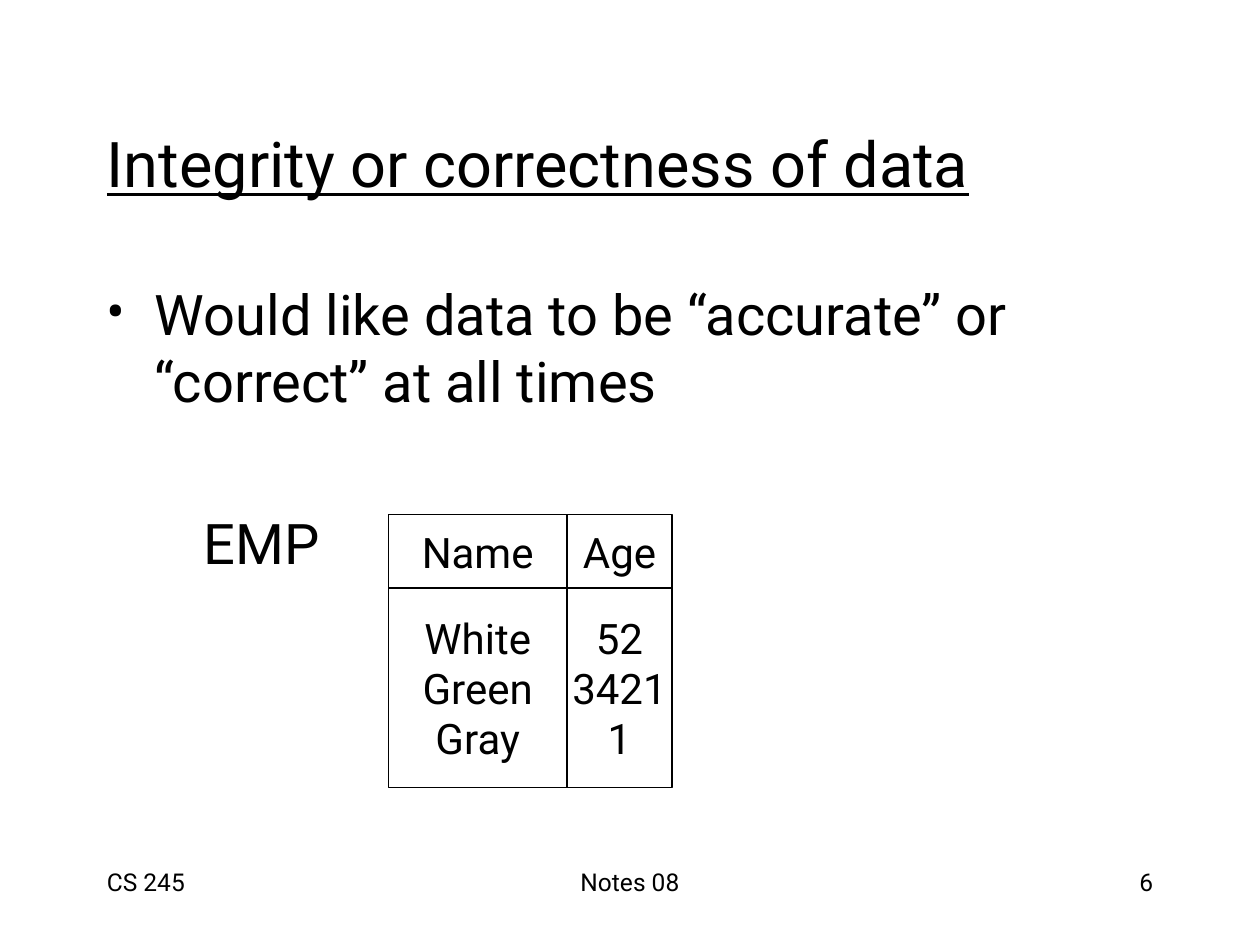
from lxml import etree
from pptx import Presentation
from pptx.dml.color import RGBColor
from pptx.enum.shapes import MSO_SHAPE
from pptx.enum.text import MSO_ANCHOR, PP_ALIGN
from pptx.oxml.ns import qn
from pptx.util import Inches, Pt

LEFT, CENTER, RIGHT = PP_ALIGN.LEFT, PP_ALIGN.CENTER, PP_ALIGN.RIGHT
TOP, MIDDLE = MSO_ANCHOR.TOP, MSO_ANCHOR.MIDDLE
RECTANGLE = MSO_SHAPE.RECTANGLE

# Content
TITLE = "Integrity or correctness of data"
BULLET = "Would like data to be “accurate” or “correct” at all times"
RELATION = "EMP"
FIELDS = [("Name", ["White", "Green", "Gray"]),
          ("Age", ["52", "3421", "1"])]

# Layout on a grid of 120 columns by 90 rows, as column, row, width, height
COLUMNS, ROWS = 120, 90
TITLE_AREA = (9, 8, 102, 15)
BODY_AREA = (9, 26, 102, 54)
RELATION_AT = (37, 49)
FIELD_WIDTHS = (17, 10)
HEAD_HEIGHT, VALUES_HEIGHT = 7, 19
FOOTERS = [("CS 245", (9, 82, 25, 6), LEFT),
           ("Notes 08", (41, 82, 38, 6), CENTER),
           ("6", (86, 82, 25, 6), RIGHT)]

THEME = {
    "font": "Roboto",
    "ink": RGBColor(0, 0, 0),
    "paper": RGBColor(255, 255, 255),
    "title": 36, "body": 32, "field": 24, "footer": 14,
    "border": 0.75, "hang": 0.38, "label_indent": 0.77, "label_gap": 54,
}

prs = Presentation()
prs.slide_width, prs.slide_height = Inches(10), Inches(7.5)
s = prs.slides.add_slide(prs.slide_layouts[6])


def place(area):
    x, y, w, h = area
    across, down = prs.slide_width / COLUMNS, prs.slide_height / ROWS
    return round(x * across), round(y * down), round(w * across), round(h * down)


def write(p, text, size, align=LEFT, underline=None, before=0,
          margin=0, bullet=False):
    """Fill one paragraph and format it."""
    pPr = p._p.get_or_add_pPr()
    p.alignment = align
    p.space_before = Pt(before)
    pPr.set("marL", str(Inches(margin)))
    pPr.set("indent", str(-Inches(margin) if bullet else 0))
    if bullet:
        etree.SubElement(pPr, qn("a:buFont")).set("typeface", THEME["font"])
        etree.SubElement(pPr, qn("a:buChar")).set("char", "•")
    r = p.add_run()
    r.text = text
    r.font.name, r.font.size = THEME["font"], Pt(size)
    r.font.color.rgb = THEME["ink"]
    r.font.underline = underline


def text_box(area, anchor=TOP):
    tf = s.shapes.add_textbox(*place(area)).text_frame
    tf.word_wrap, tf.vertical_anchor = True, anchor
    return tf


def field_box(area, lines):
    """Draw one outlined box with a centred paragraph per line."""
    sp = s.shapes.add_shape(RECTANGLE, *place(area))
    sp.shadow.inherit = False
    sp.fill.solid()
    sp.fill.fore_color.rgb = THEME["paper"]
    sp.line.color.rgb = THEME["ink"]
    sp.line.width = Pt(THEME["border"])
    tf = sp.text_frame
    tf.word_wrap, tf.vertical_anchor = False, MIDDLE
    for i, line in enumerate(lines):
        p = tf.add_paragraph() if i else tf.paragraphs[0]
        write(p, line, THEME["field"], align=CENTER)


# Footer
for text, area, align in FOOTERS:
    write(text_box(area).paragraphs[0], text, THEME["footer"], align=align)

# Title
write(text_box(TITLE_AREA, MIDDLE).paragraphs[0], TITLE, THEME["title"],
      underline=True)

# Bullet and relation name
tf = text_box(BODY_AREA)
write(tf.paragraphs[0], BULLET, THEME["body"], margin=THEME["hang"],
      bullet=True)
write(tf.add_paragraph(), RELATION, THEME["body"],
      margin=THEME["label_indent"], before=THEME["label_gap"])

# Relation: a head box over a values box for each field
x, y = RELATION_AT
for (name, values), width in zip(FIELDS, FIELD_WIDTHS):
    field_box((x, y, width, HEAD_HEIGHT), [name])
    field_box((x, y + HEAD_HEIGHT, width, VALUES_HEIGHT), values)
    x += width

prs.save("out.pptx")
